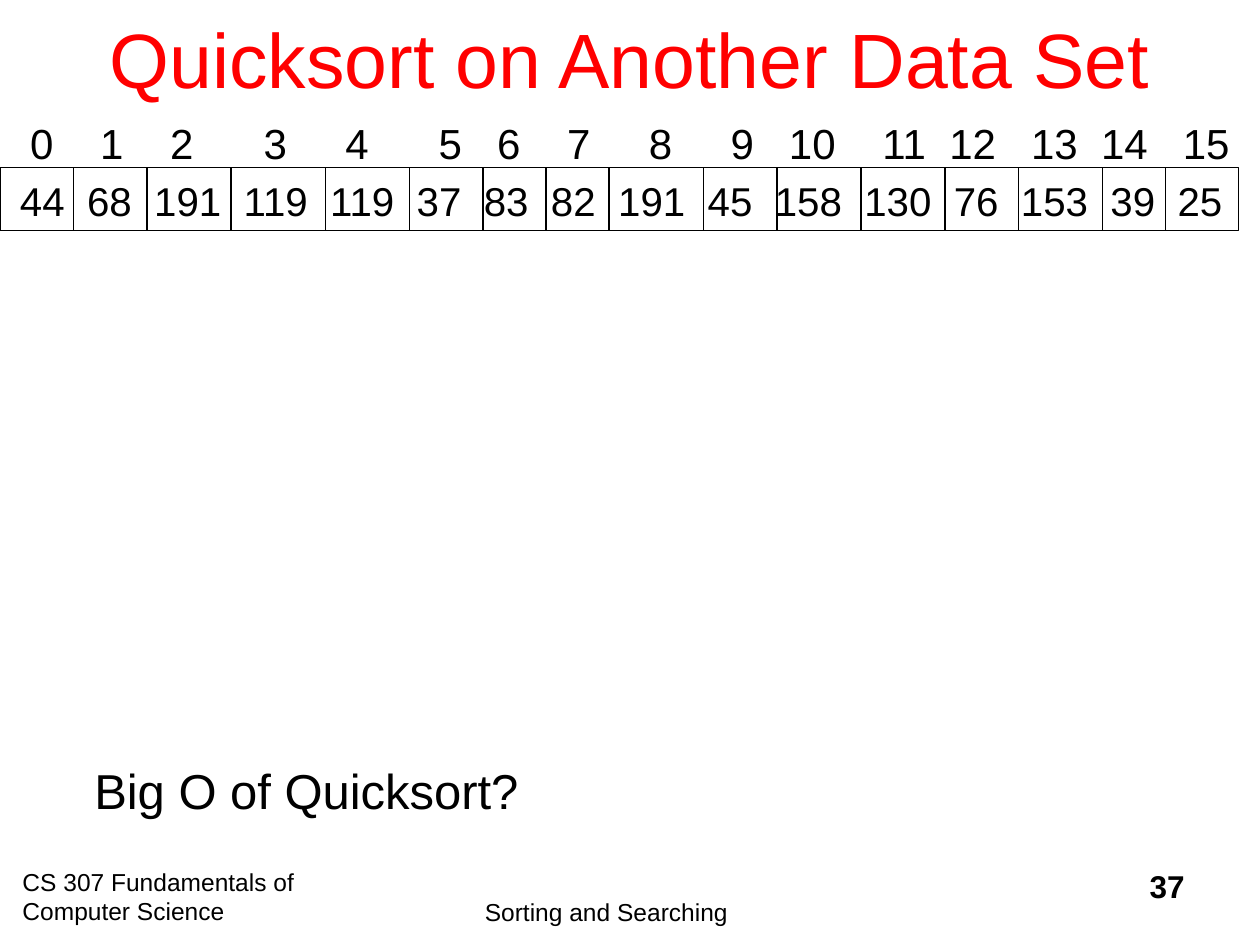
from itertools import accumulate
from lxml import etree
from pptx import Presentation
from pptx.dml.color import RGBColor
from pptx.enum.shapes import MSO_CONNECTOR, MSO_SHAPE
from pptx.enum.text import MSO_ANCHOR, PP_ALIGN
from pptx.oxml.ns import qn
from pptx.util import Inches, Pt

LEFT, CENTER, RIGHT = PP_ALIGN.LEFT, PP_ALIGN.CENTER, PP_ALIGN.RIGHT
TOP, MIDDLE = MSO_ANCHOR.TOP, MSO_ANCHOR.MIDDLE
RECTANGLE, STRAIGHT = MSO_SHAPE.RECTANGLE, MSO_CONNECTOR.STRAIGHT

COLORS = {"title": "FF0000", "ink": "000000"}
FONT = "Arial"
VALUES = [44, 68, 191, 119, 119, 37, 83, 82, 191, 45, 158, 130, 76, 153, 39, 25]
VALUE_GAPS = [2] * (len(VALUES) - 1)
INDEX_GAPS = [4, 4, 6, 5, 6, 3, 4, 5, 5, 3, 4, 2, 3, 2, 3]
CELL_WIDTHS = [7, 7, 8, 9, 8, 7, 6, 6, 9, 7, 8, 8, 7, 8, 6]
CELL_UNIT = 1 / 12
ARRAY_TOP, ARRAY_WIDTH, ARRAY_HEIGHT = 1.33, 9.83, 0.5
SPACE_EM = 0.278
KERNED_ONES = 0.27

TEXTS = [
    ("CS 307 Fundamentals of Computer Science", (0.08, 6.83, 2.92, 0.5), 14, {}),
    ("Sorting and Searching", (3.75, 7.07, 3.33, 0.33), 14, {}),
    ("37", (7.42, 6.83, 2.08, 0.5), 18, {"align": RIGHT, "bold": True}),
    ("Quicksort on Another Data Set", (0.75, -0.17, 8.5, 1.25), 44,
     {"align": CENTER, "anchor": MIDDLE, "color": "title"}),
    ("Big O of Quicksort?", (0.65, 5.99, 3.8, 0.57), 28, {}),
]
ROWS = [
    (VALUES, VALUE_GAPS, (0.06, 1.35, 9.81, 0.49), 23),
    (range(len(VALUES)), INDEX_GAPS, (0.14, 0.88, 9.86, 0.5), 24),
]


def add_text(slide, text, box, size, align=LEFT, anchor=TOP, color="ink",
             bold=False):
    shape = slide.shapes.add_textbox(*map(Inches, box))
    frame = shape.text_frame
    frame.word_wrap = True
    frame.vertical_anchor = anchor
    paragraph = frame.paragraphs[0]
    paragraph.alignment = align
    run = paragraph.add_run()
    run.text = text
    run.font.name = FONT
    run.font.size = Pt(size)
    run.font.bold = bold
    run.font.color.rgb = RGBColor.from_string(COLORS[color])
    return paragraph


def label_width(label):
    return 2 * len(label) - KERNED_ONES * label.count("11")


def add_number_row(slide, numbers, gaps, box, size):
    labels = [str(number) for number in numbers]
    paragraph = add_text(slide, "\t".join(labels), box, size)
    space = SPACE_EM * size / 72
    advances = [label_width(label) + gap for label, gap in zip(labels, gaps)]
    tabs = etree.SubElement(paragraph._p.get_or_add_pPr(), qn("a:tabLst"))
    for units in accumulate(advances):
        etree.SubElement(tabs, qn("a:tab"), pos=str(Inches(units * space)), algn="l")


def style_line(line):
    line.color.rgb = RGBColor.from_string(COLORS["ink"])
    line.width = Pt(0.75)


def add_array(slide):
    outline = slide.shapes.add_shape(
        RECTANGLE, 0, Inches(ARRAY_TOP), Inches(ARRAY_WIDTH), Inches(ARRAY_HEIGHT))
    outline.shadow.inherit = False
    outline.fill.background()
    style_line(outline.line)
    for units in accumulate(CELL_WIDTHS):
        x = Inches(units * CELL_UNIT)
        divider = slide.shapes.add_connector(
            STRAIGHT, x, Inches(ARRAY_TOP), x, Inches(ARRAY_TOP + ARRAY_HEIGHT))
        style_line(divider.line)
        etree.SubElement(divider._element.spPr, qn("a:effectLst"))


def main():
    presentation = Presentation()
    presentation.slide_width = Inches(10)
    presentation.slide_height = Inches(7.5)
    slide = presentation.slides.add_slide(presentation.slide_layouts[6])
    for text, box, size, options in TEXTS:
        add_text(slide, text, box, size, **options)
    add_array(slide)
    for row in ROWS:
        add_number_row(slide, *row)
    presentation.save("out.pptx")


if __name__ == "__main__":
    main()
